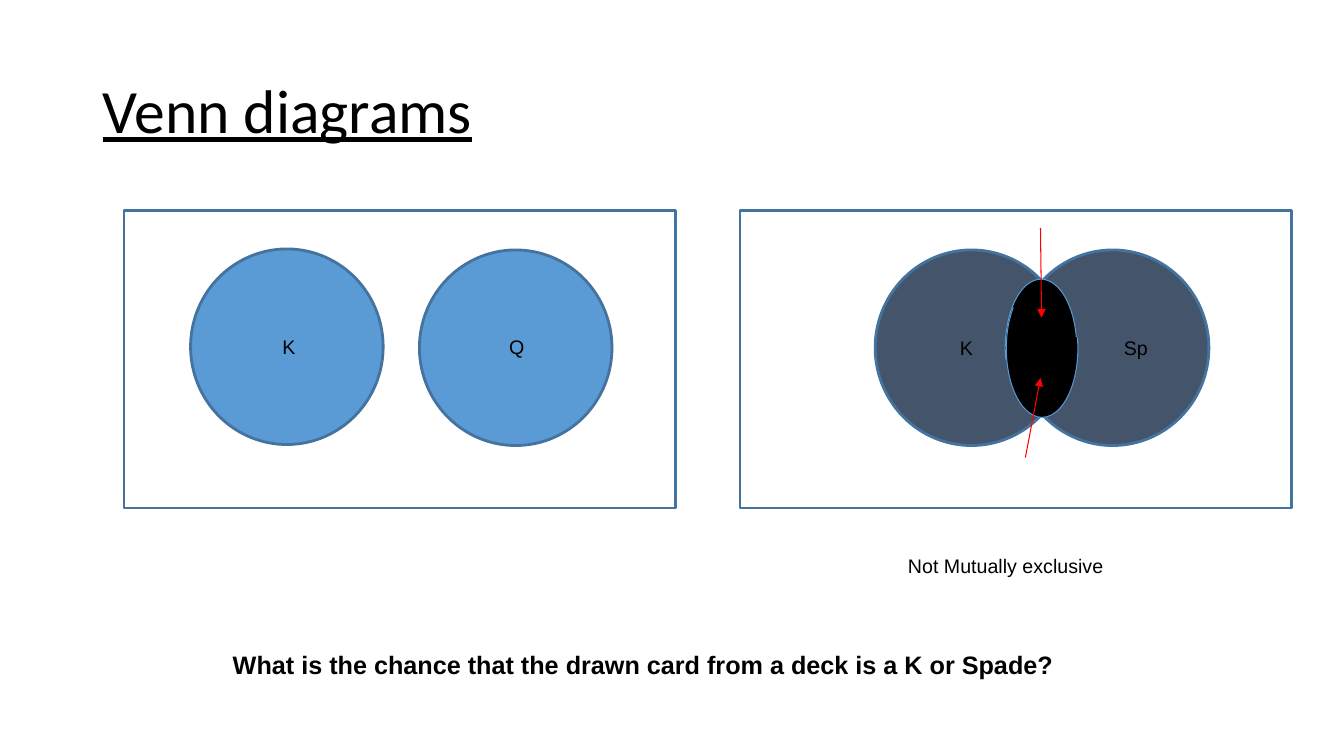
"""Build a slide of two Venn diagrams: separate and overlapping events."""
from lxml import etree
from pptx import Presentation
from pptx.dml.color import RGBColor
from pptx.enum.shapes import MSO_CONNECTOR, MSO_SHAPE
from pptx.enum.text import MSO_ANCHOR, MSO_AUTO_SIZE, PP_ALIGN
from pptx.oxml.ns import qn
from pptx.util import Inches, Pt

RECT, OVAL, ARC = MSO_SHAPE.RECTANGLE, MSO_SHAPE.OVAL, MSO_SHAPE.ARC
STRAIGHT = MSO_CONNECTOR.STRAIGHT
LEFT, CENTER = PP_ALIGN.LEFT, PP_ALIGN.CENTER
MIDDLE, GROW = MSO_ANCHOR.MIDDLE, MSO_AUTO_SIZE.SHAPE_TO_FIT_TEXT

COLORS = {
    "white": "FFFFFF", "text": "000000", "outline": "43739E",
    "separate": "5B9BD5", "overlapping": "44546A",
    "shared": "000000", "shared_line": "5698D3", "arrow": "FF0000",
}

TITLE = "Venn diagrams"
TITLE_BOX = (0.92, 0.4, 11.5, 1.45)
PANEL_TOP, PANEL_SIZE = 2.09, (5.47, 2.95)
CIRCLE_SIZE = (1.91, 1.94)
LABEL_SIZE = (0.81, 0.34)
DIAGRAMS = [
    {"left": 1.23, "fill": "separate", "label_top": 3.27,
     "circles": [(1.89, 2.47), (4.16, 2.48)],
     "labels": [("K", 2.46), ("Q", 4.72)]},
    {"left": 7.34, "fill": "overlapping", "label_top": 3.28,
     "circles": [(8.68, 2.48), (10.08, 2.48)],
     "labels": [("K", 9.18), ("Sp", 10.86)]},
]
SHARED_TOP, SHARED_SIZE = 2.77, (0.71, 1.37)
SHARED_ARCS = [(9.97, 0), (9.98, 180)]
ARC_ANGLES = (162, 54.84)
ANGLE_UNIT = 0.6
ARROWS = [((10.17, 4.54), (10.32, 3.75)), ((10.32, 2.26), (10.33, 3.15))]
CAPTION = ("Not Mutually exclusive", (8.34, 5.45, 3.27, 0.34))
QUESTION = ("What is the chance that the drawn card from a deck is a K or Spade?",
            (2.21, 6.39, 8.42, 0.4))


def rgb(name):
    """Return a named colour."""
    return RGBColor.from_string(COLORS[name])


def set_font(font, **values):
    """Apply format values to a font."""
    for name, value in values.items():
        setattr(font, name, value)
    font.color.rgb = rgb("text")


def add_outline(s, kind, box, fill, line="outline", width=2):
    """Add a filled preset shape."""
    sp = s.shapes.add_shape(kind, *map(Inches, box))
    sp.shadow.inherit = False
    sp.fill.solid()
    sp.fill.fore_color.rgb = rgb(fill)
    sp.line.color.rgb = rgb(line)
    sp.line.width = Pt(width)
    return sp


def add_text(s, text, box, size=14, bold=False, align=CENTER, wrap=True):
    """Add a one-line text box."""
    tf = s.shapes.add_textbox(*map(Inches, box)).text_frame
    tf.word_wrap = wrap
    tf.auto_size = GROW
    p = tf.paragraphs[0]
    p.alignment = align
    r = p.add_run()
    r.text = text
    set_font(r.font, name="Arial", size=Pt(size), bold=bold)


def add_arrow(s, start, end):
    """Add a thin arrow from start to end."""
    line = s.shapes.add_connector(STRAIGHT, *map(Inches, start + end))
    line.line.color.rgb = rgb("arrow")
    line.line.width = Pt(0.75)
    etree.SubElement(line.line._get_or_add_ln(), qn("a:tailEnd"), type="triangle")
    etree.SubElement(line._element.spPr, qn("a:effectLst"))


def add_title(s):
    """Fill and place the title placeholder."""
    title = s.shapes.title
    title.left, title.top, title.width, title.height = map(Inches, TITLE_BOX)
    tf = title.text_frame
    tf.vertical_anchor = MIDDLE
    p = tf.paragraphs[0]
    p.alignment = LEFT
    p.line_spacing = 0.9
    r = p.add_run()
    r.text = TITLE
    set_font(r.font, name="Calibri", size=Pt(44), underline=True)


def add_shared_region(s):
    """Cover the overlap with two mirrored arcs."""
    for left, rotation in SHARED_ARCS:
        arc = add_outline(s, ARC, (left, SHARED_TOP, *SHARED_SIZE),
                          "shared", "shared_line", 0.75)
        for i, angle in enumerate(ARC_ANGLES):
            arc.adjustments[i] = angle * ANGLE_UNIT
        arc.rotation = rotation


def main():
    """Build and save the slide."""
    prs = Presentation()
    prs.slide_width, prs.slide_height = Inches(13.33), Inches(7.5)
    s = prs.slides.add_slide(prs.slide_layouts[5])
    add_title(s)
    for diagram in DIAGRAMS:
        add_outline(s, RECT, (diagram["left"], PANEL_TOP, *PANEL_SIZE), "white")
        for corner in diagram["circles"]:
            add_outline(s, OVAL, corner + CIRCLE_SIZE, diagram["fill"])
        for text, left in diagram["labels"]:
            add_text(s, text, (left, diagram["label_top"], *LABEL_SIZE))
    add_shared_region(s)
    for start, end in ARROWS:
        add_arrow(s, start, end)
    add_text(s, *CAPTION)
    add_text(s, *QUESTION, size=18, bold=True, align=LEFT, wrap=False)
    prs.save("out.pptx")


if __name__ == "__main__":
    main()
